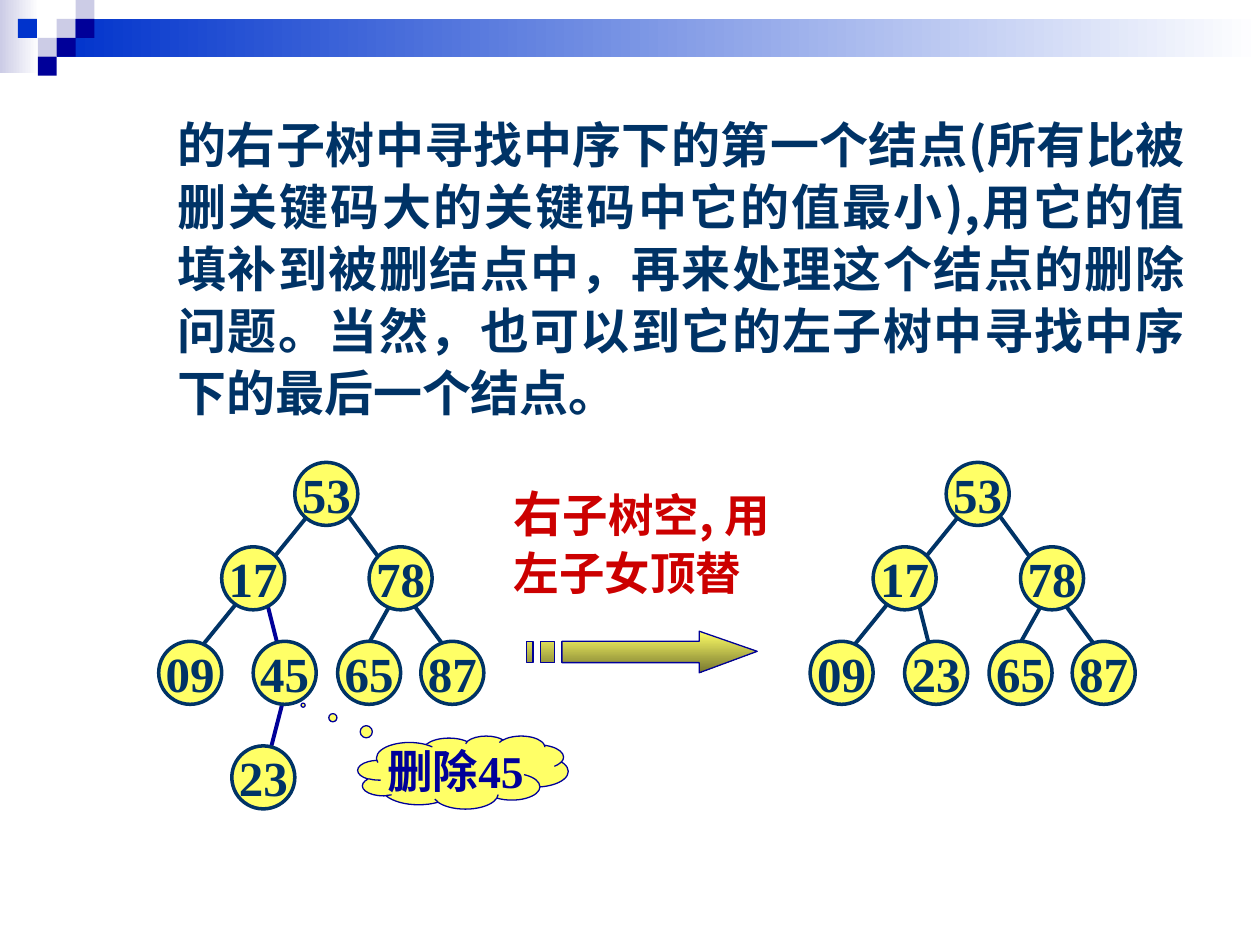
import pptx
import pptx.util
import pptx.dml.color
import pptx.enum.shapes
import pptx.enum.text
import pptx.oxml.ns
import pptx.oxml.xmlchemy
from pptx.util import Inches, Pt

SHAPE = pptx.enum.shapes.MSO_SHAPE
ALIGN = pptx.enum.text.PP_ALIGN
CJK, LATIN = "Noto Sans CJK SC", "Times New Roman"
COLOURS = {
    "white": "FFFFFF", "lilac": "CCCCE6", "blue": "0033CC", "navy": "000099",
    "ink": "003366", "yellow": "FFFF66", "olive": "76762F", "red": "CC0000",
}

# Content
BODY = ("的右子树中寻找中序下的第一个结点(所有比被删关键码大的关键码中它的值最小),"
        "用它的值填补到被删结点中，再来处理这个结点的删除问题。"
        "当然，也可以到它的左子树中寻找中序下的最后一个结点。")
NOTE = [[("右", 28), ("子树空, 用", 26)], [("左子女顶替", 26)]]
CLOUD = "删除45"

# Header: bands as (left, top, width, height, first colour)
BANDS = [(0, 0, 0.31, 0.58, "lilac"), (0.45, 0.15, 9.55, 0.3, "blue")]
SQUARE = 0.15
SQUARES = [  # column, row, colour
    (3, 1, "lilac"), (4, 0, "lilac"), (4, 1, "navy"), (2, 2, "lilac"),
    (0.95, 1, "blue"), (3, 2, "navy"), (2, 3, "navy"),
]

# Trees: node places and edges are those of the left tree
NODE = 0.5
SHARED_NODES = [("53", 2.34, 3.67), ("78", 2.93, 4.34), ("65", 2.68, 5.09),
                ("17", 1.76, 4.34), ("87", 3.34, 5.09), ("09", 1.26, 5.09)]
SHARED_EDGES = [(2.51, 4.01, 1.43, 5.34, "ink"), (3.17, 4.67, 2.84, 5.26, "ink"),
                (2.76, 4.09, 3.68, 5.34, "ink")]
INNER_EDGE = (2.09, 4.67, 2.26, 5.34)
TREES = [  # shift to the right, own edges, own nodes
    (0, [(2.26, 5.51, 2.09, 6.17, "navy"), (*INNER_EDGE, "navy")],
     [("23", 1.84, 5.92), ("45", 2.01, 5.09)]),
    (5.17, [(*INNER_EDGE, "ink")], [("23", 2.01, 5.09)]),
]

# Striped arrow in hundredths of an inch: head and shaft, then two stripes
ARROW_TOP, ARROW_BOTTOM, SHAFT_TOP, SHAFT_BOTTOM = 501, 534, 509, 526
ARROW_HEAD = [(555, ARROW_TOP), (555, SHAFT_TOP), (446, SHAFT_TOP),
              (446, SHAFT_BOTTOM), (555, SHAFT_BOTTOM), (555, ARROW_BOTTOM),
              (601, 517)]
STRIPES = [(429, 440), (418, 423)]


def rgb(name):
    return pptx.dml.color.RGBColor.from_string(COLOURS[name])


def paint(shape, fill, line=None, width=0.75, fade=None, angle=0):
    shape.shadow.inherit = False
    if fade:
        shape.fill.gradient()
        shape.fill.gradient_angle = angle
        for stop, name, place in zip(shape.fill.gradient_stops, (fill, fade), (0, 1)):
            stop.color.rgb = rgb(name)
            stop.position = place
    else:
        shape.fill.solid()
        shape.fill.fore_color.rgb = rgb(fill)
    if line:
        shape.line.color.rgb = rgb(line)
        shape.line.width = Pt(width)
    else:
        shape.line.fill.background()


def add_span(para, text, size, font, colour):
    span = para.add_run()
    span.text = text
    span.font.size, span.font.bold, span.font.name = Pt(size), True, font
    span.font.color.rgb = rgb(colour)
    east_asian = pptx.oxml.xmlchemy.OxmlElement("a:ea")
    east_asian.set("typeface", CJK)
    span.font._element.find(pptx.oxml.ns.qn("a:latin")).addnext(east_asian)


def add_label(shape, text, size, colour):
    frame = shape.text_frame
    frame.word_wrap = False
    frame.vertical_anchor = pptx.enum.text.MSO_ANCHOR.MIDDLE
    para = frame.paragraphs[0]
    para.alignment = ALIGN.CENTER
    add_span(para, text, size, LATIN, colour)


def add_shape(page, kind, left, top, width, height):
    return page.shapes.add_shape(kind, Inches(left), Inches(top),
                                 Inches(width), Inches(height))


def add_text_box(page, left, top, width, height):
    box = page.shapes.add_textbox(Inches(left), Inches(top),
                                  Inches(width), Inches(height))
    box.text_frame.word_wrap = True
    return box.text_frame


def add_header(page):
    for *place, colour in BANDS:
        paint(add_shape(page, SHAPE.RECTANGLE, *place), colour, fade="white")
    for column, row, colour in SQUARES:
        square = add_shape(page, SHAPE.RECTANGLE, column * SQUARE, row * SQUARE,
                           SQUARE, SQUARE)
        paint(square, colour)


def add_texts(page):
    para = add_text_box(page, 0.5, 0.84, 9, 2.75).paragraphs[0]
    para.alignment, para.line_spacing = ALIGN.JUSTIFY, 1.05
    para._p.get_or_add_pPr().set("marL", str(Inches(0.81)))
    add_span(para, BODY, 28, CJK, "ink")

    frame = add_text_box(page, 3.98, 3.79, 2.71, 1.03)
    for index, spans in enumerate(NOTE):
        para = frame.add_paragraph() if index else frame.paragraphs[0]
        if index:
            para.space_before = Pt(1.6)
        for text, size in spans:
            add_span(para, text, size, CJK, "red")


def add_tree(page, shift, edges, nodes):
    for x1, y1, x2, y2, colour in edges + SHARED_EDGES:
        edge = page.shapes.add_connector(
            pptx.enum.shapes.MSO_CONNECTOR.STRAIGHT, Inches(x1 + shift), Inches(y1),
            Inches(x2 + shift), Inches(y2))
        edge.line.color.rgb = rgb(colour)
        edge.line.width = Pt(2.25)
        edge._element.spPr.append(pptx.oxml.xmlchemy.OxmlElement("a:effectLst"))
    for key, left, top in SHARED_NODES + nodes:
        node = add_shape(page, SHAPE.OVAL, left + shift, top, NODE, NODE)
        paint(node, "yellow", "ink", 2)
        add_label(node, key, 28, "ink")


def add_arrow(page):
    contours = [ARROW_HEAD] + [
        [(left, SHAFT_TOP), (left, SHAFT_BOTTOM), (right, SHAFT_BOTTOM), (right, SHAFT_TOP)]
        for left, right in STRIPES]
    # Freeform points are whole numbers, so one unit is 0.01 inch
    builder = page.shapes.build_freeform(*contours[0][0], scale=Inches(0.01))
    for index, points in enumerate(contours):
        if index:
            builder.move_to(*points[0])
        builder.add_line_segments(points[1:], close=True)
    paint(builder.convert_to_shape(), "yellow", "navy", fade="olive", angle=270)


def add_cloud(page):
    cloud = add_shape(page, SHAPE.CLOUD_CALLOUT, 2.84, 5.84, 1.67, 0.58)
    cloud.adjustments[0], cloud.adjustments[1] = -0.76, -0.92
    paint(cloud, "yellow", "navy")
    add_label(cloud, CLOUD, 26, "navy")


def main():
    deck = pptx.Presentation()
    deck.slide_width, deck.slide_height = Inches(10), Inches(7.5)
    page = deck.slides.add_slide(deck.slide_layouts[6])
    add_header(page)
    add_texts(page)
    for tree in TREES:
        add_tree(page, *tree)
    add_cloud(page)
    add_arrow(page)
    deck.save("out.pptx")


if __name__ == "__main__":
    main()
